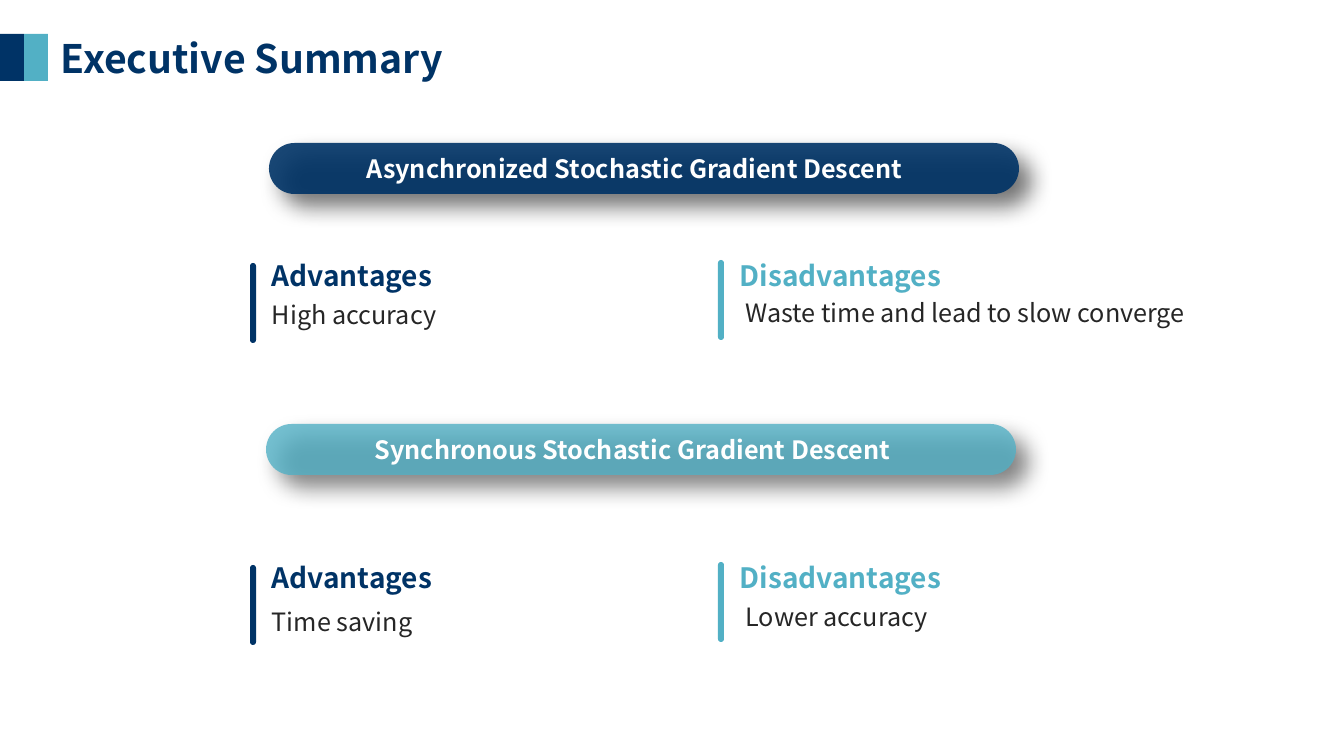
from lxml.etree import SubElement
from pptx import Presentation
from pptx.dml.color import RGBColor
from pptx.enum.shapes import MSO_SHAPE as SHAPE
from pptx.enum.text import MSO_AUTO_SIZE as AUTO, PP_ALIGN as ALIGN
from pptx.oxml.ns import qn
from pptx.util import Emu, Pt

FONT = "Noto Sans CJK SC"
NAVY, TEAL, WHITE, DARK = "003366", "52B0C5", "FFFFFF", "262626"

TITLE = "Executive Summary"
# name, colour, opacity %, pill left and top, label left and width
METHODS = [
    ("Asynchronized Stochastic Gradient Descent", NAVY, 90, 269, 143, 305, 659),
    ("Synchronous Stochastic Gradient Descent", TEAL, 80, 266, 424, 199, 867),
]
# per method: heading top, then (text, text top) for each column
POINTS = [
    (254, [("High accuracy", 294), (" Waste time and lead to slow converge", 292)]),
    (556, [("Time saving", 601), (" Lower accuracy", 596)]),
]
# heading, colour, bar left, bar drop below heading top, heading width
COLUMNS = [
    ("Advantages", NAVY, 250, 9, 219),
    ("Disadvantages", TEAL, 718, 6, 308),
]


def px(n):
    return Emu(round(n * 914400 / 100.8))


def rgb(color):
    return RGBColor.from_string(color)


def add_shape(kind, x, y, w, h, color, adjust=()):
    s = slide.shapes.add_shape(kind, px(x), px(y), px(w), px(h))
    s.shadow.inherit = False
    s.fill.solid()
    s.fill.fore_color.rgb = rgb(color)
    s.line.fill.background()
    for i, value in enumerate(adjust):
        s.adjustments[i] = value
    return s


def add_text(text, x, y, w, h, size, color, bold=True, align=ALIGN.LEFT):
    tf = slide.shapes.add_textbox(px(x), px(y), px(w), px(h)).text_frame
    tf.word_wrap = True
    tf.auto_size = AUTO.SHAPE_TO_FIT_TEXT
    p = tf.paragraphs[0]
    p.alignment = align
    r = p.add_run()
    r.text = text
    r.font.name, r.font.size, r.font.bold = FONT, Pt(size), bold
    r.font.color.rgb = rgb(color)


def set_alpha(color_element, percent):
    SubElement(color_element, qn("a:alpha"), val=str(percent * 1000))


def add_glow_shadow(s):
    """Soft black shadow, down and to the right."""
    effects = s._element.spPr.find(qn("a:effectLst"))
    shadow = SubElement(effects, qn("a:outerShdw"), blurRad=str(Pt(16)),
                        dist=str(Pt(12)), dir=str(45 * 60000),
                        algn="tl", rotWithShape="0")
    set_alpha(SubElement(shadow, qn("a:srgbClr"), val="000000"), 60)


prs = Presentation()
prs.slide_width, prs.slide_height = px(1344), px(756)
slide = prs.slides.add_slide(prs.slide_layouts[6])

for i, color in enumerate((NAVY, TEAL)):
    add_shape(SHAPE.RECTANGLE, i * 24, 34, 24, 47, color)
add_text(TITLE, 51, 29, 563, 57, 28, NAVY)

for name, color, opacity, x, y, label_x, label_w in METHODS:
    pill = add_shape(SHAPE.ROUNDED_RECTANGLE, x, y, 750, 51, color, [0.5])
    set_alpha(pill._element.spPr.find(qn("a:solidFill"))[0], opacity)
    add_glow_shadow(pill)
    add_text(name, label_x, y + 5, label_w, 40, 18, WHITE, align=ALIGN.CENTER)

for top, points in POINTS:
    for (heading, color, x, drop, w), (text, text_y) in zip(COLUMNS, points):
        add_shape(SHAPE.ROUND_2_SAME_RECTANGLE, x, top + drop, 6, 80, color, [0.5, 0.5])
        add_text(heading, x + 12, top, w, 44, 20, color)
        add_text(text, x + 12, text_y, 544, 40, 18, DARK, bold=False)

prs.save("out.pptx")
